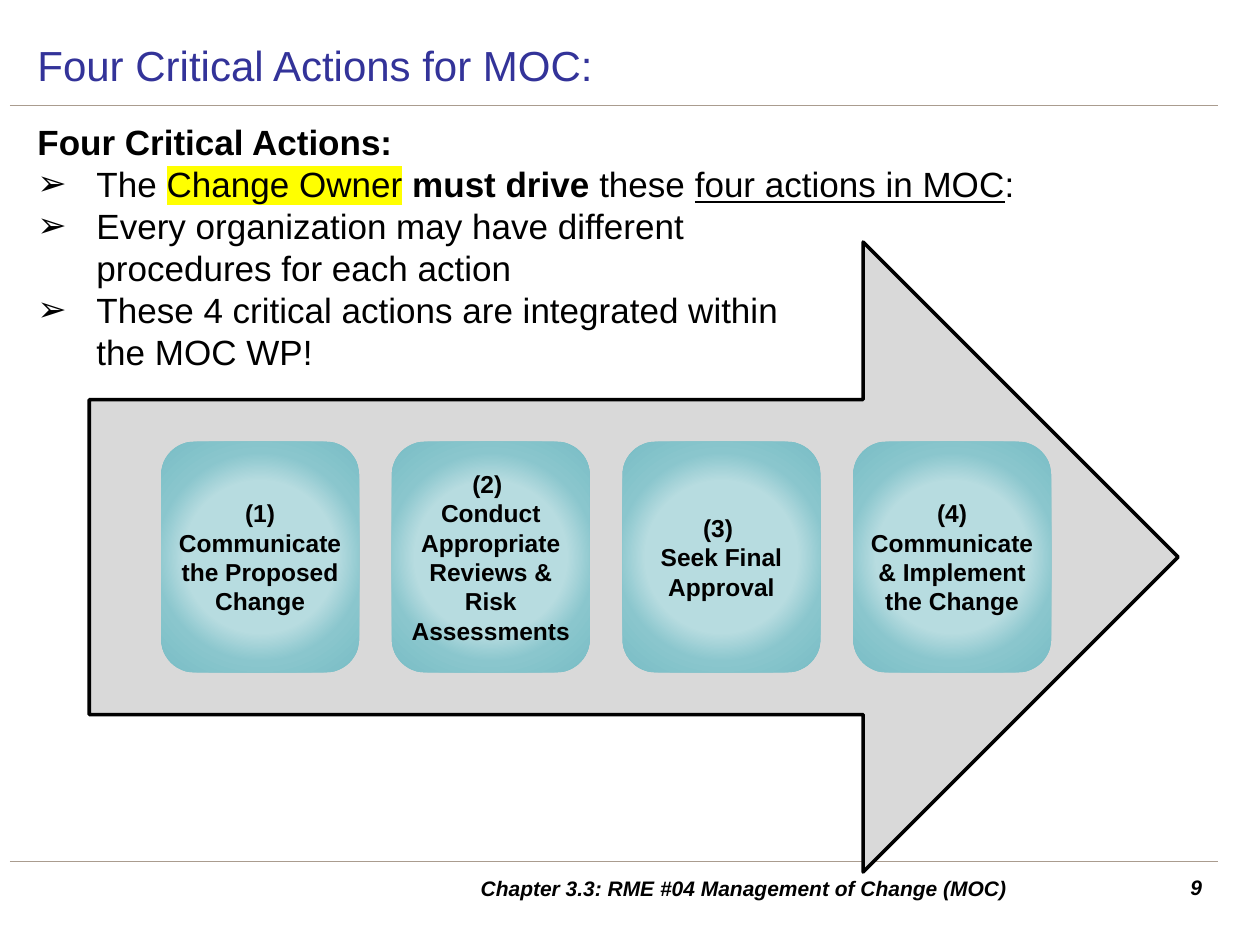
import pptx
import pptx.util
import pptx.dml.color
import pptx.enum.dml
import pptx.enum.shapes
import pptx.enum.text
import pptx.oxml
import pptx.oxml.ns
from lxml import etree

Cm = pptx.util.Cm
Pt = pptx.util.Pt
qn = pptx.oxml.ns.qn
KIND = pptx.enum.shapes.MSO_SHAPE
ALIGN = pptx.enum.text.PP_ALIGN
ANCHOR = pptx.enum.text.MSO_ANCHOR

STEPS = [
    "(1)\nCommunicate the Proposed Change",
    "(2) \nConduct Appropriate Reviews & Risk Assessments",
    "(3) \nSeek Final Approval",
    "(4) Communicate & Implement the Change",
]
POINTS = [
    [("The ", {}), ("Change Owner", {"mark": "FFFF00"}), (" ", {}),
     ("must drive", {"bold": True}), (" these ", {}),
     ("four actions in MOC", {"under": True}), (":", {})],
    [("Every organization may have different \nprocedures for each action", {})],
    [("These 4 critical actions are integrated within \nthe MOC WP!", {})],
]
STOPS = [(0, "B7DCE0"), (50, "B7DCE0"), (69, "8AC6CD"), (97, "7ABEC6")]


def color(code):
    return pptx.dml.color.RGBColor.from_string(code)


def write(para, text, size=20, ink="000000", bold=False, italic=False,
          under=False, mark=None, align=ALIGN.LEFT):
    """Add text to a paragraph; a newline becomes a line break."""
    para.alignment = align
    for i, line in enumerate(text.split("\n")):
        if i:
            para.add_line_break()
        run = para.add_run()
        run.text = line
        font = run.font
        font.size, font.name = Pt(size), "Arial"
        font.bold, font.italic, font.underline = bold, italic, under
        font.color.rgb = color(ink)
        if mark:
            glow = etree.Element(qn("a:highlight"))
            etree.SubElement(glow, qn("a:srgbClr"), val=mark)
            font.fill  # the highlight follows the text fill
            run._r.rPr.find(qn("a:solidFill")).addnext(glow)


def place(shape, box):
    shape.left, shape.top, shape.width, shape.height = map(Cm, box)


def frame(shape, anchor):
    text = shape.text_frame
    text.word_wrap = True
    text.auto_size = pptx.enum.text.MSO_AUTO_SIZE.NONE
    text.vertical_anchor = anchor
    return text


def bullet(para, char):
    props = para._p.get_or_add_pPr()
    props.set("marL", str(Cm(1.19)))
    props.set("indent", str(-Cm(1.19)))
    tint = etree.SubElement(props, qn("a:buClr"))
    etree.SubElement(tint, qn("a:srgbClr"), val="000000")
    etree.SubElement(props, qn("a:buFont"), typeface="Arial")
    etree.SubElement(props, qn("a:buChar"), char=char)


def rule(slide, x, y, width):
    line = slide.shapes.add_connector(
        pptx.enum.shapes.MSO_CONNECTOR.STRAIGHT,
        Cm(x), Cm(y), Cm(x + width), Cm(y))
    line.line.color.rgb = color("AA9C8F")
    line.line.width = Pt(0.75)
    etree.SubElement(line._element.spPr, qn("a:effectLst"))


def head(slide, box):
    title = slide.shapes.title
    place(title, box)
    title.fill.solid()
    title.fill.fore_color.rgb = color("FFFFFF")
    tint = title._element.spPr.find(qn("a:solidFill"))[0]
    etree.SubElement(tint, qn("a:alpha"), val="70000")
    text = frame(title, ANCHOR.MIDDLE)
    write(text.paragraphs[0], "Four Critical Actions for MOC:",
          size=24, ink="333399")


def body(slide, box):
    holder = slide.placeholders[1]
    place(holder, box)
    text = frame(holder, ANCHOR.TOP)
    lead = text.paragraphs[0]
    lead.space_before = Pt(0)
    props = lead._p.get_or_add_pPr()
    props.set("marL", "0")
    props.set("indent", "0")
    etree.SubElement(props, qn("a:buNone"))
    write(lead, "Four Critical Actions:", bold=True)
    for point in POINTS:
        para = text.add_paragraph()
        para.space_before = Pt(0)
        bullet(para, "➢")
        for words, style in point:
            write(para, words, **style)


def label(slide, box, words, align, anchor):
    note = slide.shapes.add_textbox(*map(Cm, box))
    write(frame(note, anchor).paragraphs[0], words, size=12,
          bold=True, italic=True, align=align)


def foot(slide, x, y):
    label(slide, (x + 15.52, y, 1.47, 0.79), "9", ALIGN.RIGHT, ANCHOR.TOP)
    label(slide, (x, y, 15.01, 0.79),
          "Chapter 3.3: RME #04 Management of Change (MOC)",
          ALIGN.CENTER, ANCHOR.MIDDLE)


def glow(shape):
    """Fill a shape with a gradient that spreads from its centre."""
    stops = "".join(
        f'<a:gs pos="{at * 1000}"><a:srgbClr val="{code}"/></a:gs>'
        for at, code in STOPS)
    fill = pptx.oxml.parse_xml(
        f'<a:gradFill {pptx.oxml.ns.nsdecls("a")} rotWithShape="1">'
        f'<a:gsLst>{stops}</a:gsLst><a:path path="circle">'
        '<a:fillToRect l="50000" t="50000" r="50000" b="50000"/>'
        '</a:path></a:gradFill>')
    shape.fill.background()
    props = shape._element.spPr
    props.replace(props.find(qn("a:noFill")), fill)


def card(slide, box, words):
    tile = slide.shapes.add_shape(KIND.ROUNDED_RECTANGLE, *map(Cm, box))
    tile.shadow.inherit = False
    tile.line.fill.background()
    glow(tile)
    text = frame(tile, ANCHOR.MIDDLE)
    text.margin_left = text.margin_right = Cm(0.1)
    text.margin_top = text.margin_bottom = Cm(0.2)
    write(text.paragraphs[0], words, size=14, bold=True, align=ALIGN.CENTER)


def flow(slide, box):
    x, y, width, height = box
    arrow = slide.shapes.add_shape(KIND.RIGHT_ARROW, *map(Cm, box))
    arrow.shadow.inherit = False
    arrow.fill.solid()
    arrow.fill.fore_color.rgb = color("D9D9D9")
    arrow.line.color.rgb = color("000000")
    arrow.line.width = Pt(2)
    # Equal cards, centred on the shaft
    wide, tall, pitch = 3.99, 4.65, 4.65
    for i, words in enumerate(STEPS):
        card(slide, (x + 1.45 + i * pitch, y + (height - tall) / 2,
                     wide, tall), words)


def main():
    deck = pptx.Presentation()
    deck.slide_width, deck.slide_height = Cm(25.4), Cm(19.05)
    slide = deck.slides.add_slide(deck.slide_layouts[1])
    # Rules above and below the content
    for y in (2.12, 17.36):
        rule(slide, 0.2, y, 24.36)
    # Text
    head(slide, (0.5, 0.61, 24, 1.4))
    body(slide, (0.5, 2.31, 24, 14.81))
    foot(slide, 7.49, 17.5)
    # Process arrow
    flow(slide, (1.8, 4.88, 21.95, 12.7))
    deck.save("out.pptx")


if __name__ == "__main__":
    main()
